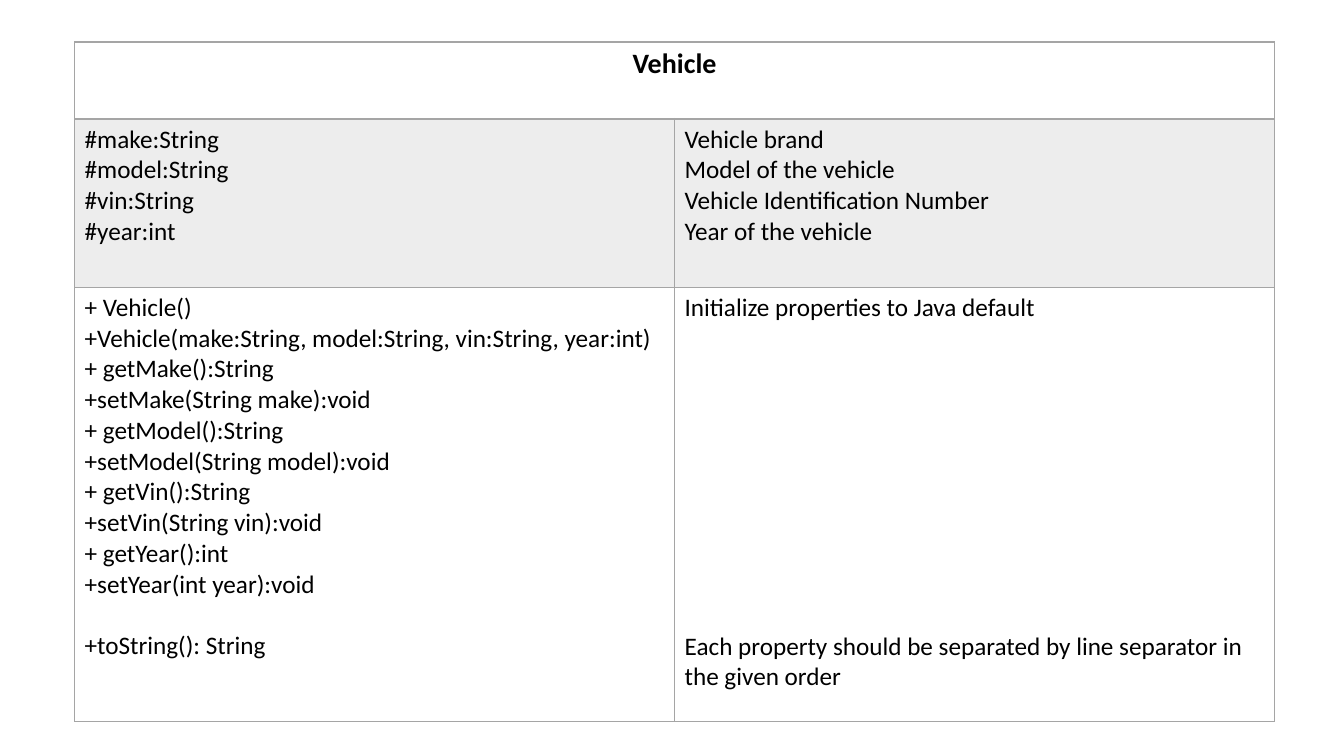
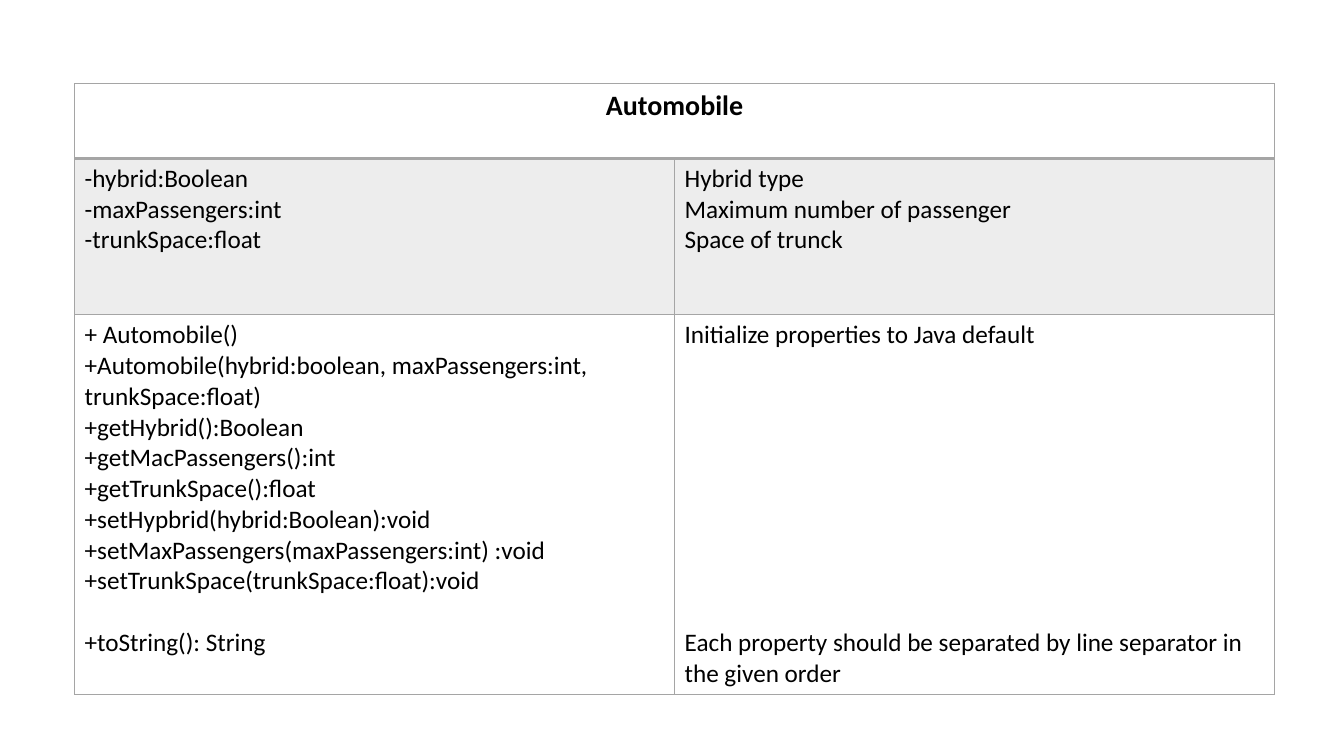
from dataclasses import dataclass
from typing import NamedTuple

from lxml import etree
from pptx import Presentation
from pptx.dml.color import RGBColor
from pptx.enum.text import PP_ALIGN
from pptx.oxml.ns import qn
from pptx.util import Cm, Pt

CENTER, LEFT = PP_ALIGN.CENTER, PP_ALIGN.LEFT
BLANK = 6


@dataclass(frozen=True)
class Theme:
    font: str = "Calibri"
    ink: str = "000000"
    grey: str = "A5A5A5"
    alpha: int = 20
    head: int = 20
    body: int = 18
    lead: float = 22  # height of one body line, in points
    thin: float = 1
    thick: float = 2
    left: float = 1.88
    col: float = 15.12


class Line(NamedTuple):
    """One line of text, with the number of empty lines above it."""
    text: str
    skip: int = 0


@dataclass(frozen=True)
class Diagram:
    name: str
    top: float
    rows: tuple[float, ...]
    fields: dict[str, str]
    calls: tuple[str, ...]
    wraps: int = 0  # extra lines taken by calls that wrap


THEME = Theme()
HEAD = {"name": THEME.font, "size": Pt(THEME.head), "bold": True}
BODY = {"name": THEME.font, "size": Pt(THEME.body), "bold": False}

DIAGRAMS = (
    Diagram(
        "Vehicle", 1.06, (1.94, 4.24, 10.94),
        {
            "#make:String": "Vehicle brand",
            "#model:String": "Model of the vehicle",
            "#vin:String": "Vehicle Identification Number",
            "#year:int": "Year of the vehicle",
        },
        (
            "+ Vehicle()",
            "+Vehicle(make:String, model:String, vin:String, year:int)",
            "+ getMake():String",
            "+setMake(String make):void",
            "+ getModel():String",
            "+setModel(String model):void",
            "+ getVin():String",
            "+setVin(String vin):void",
            "+ getYear():int",
            "+setYear(int year):void",
        ),
    ),
    Diagram(
        "Automobile", 2.11, (1.88, 3.94, 9.4),
        {
            "-hybrid:Boolean": "Hybrid type",
            "-maxPassengers:int": "Maximum number of passenger",
            "-trunkSpace:float": "Space of trunck",
        },
        (
            "+ Automobile()",
            "+Automobile(hybrid:boolean, maxPassengers:int, trunkSpace:float)",
            "+getHybrid():Boolean",
            "+getMacPassengers():int",
            "+getTrunkSpace():float",
            "+setHypbrid(hybrid:Boolean):void",
            "+setMaxPassengers(maxPassengers:int) :void",
            "+setTrunkSpace(trunkSpace:float):void",
        ),
        wraps=1,
    ),
)


def write(cell, lines: list[Line], style: dict, align=LEFT) -> None:
    frame = cell.text_frame
    for i, line in enumerate(lines):
        para = frame.add_paragraph() if i else frame.paragraphs[0]
        para.alignment = align
        para.space_before = Pt(line.skip * THEME.lead)
        run = para.add_run()
        run.text = line.text
        for key, value in style.items():
            setattr(run.font, key, value)
        run.font.color.rgb = RGBColor.from_string(THEME.ink)


def frame_cell(cell, row: int) -> None:
    """Draw the four borders, with a thick rule below the header row."""
    props = cell._tc.get_or_add_tcPr()
    widths = dict.fromkeys(("lnL", "lnR", "lnT", "lnB"), THEME.thin)
    if row < 2:
        widths["lnT" if row else "lnB"] = THEME.thick
    for side, width in widths.items():
        edge = etree.SubElement(props, qn(f"a:{side}"), w=str(Pt(width)))
        fill = etree.SubElement(edge, qn("a:solidFill"))
        etree.SubElement(fill, qn("a:srgbClr"), val=THEME.grey)


def shade(cell, tint: bool) -> None:
    if not tint:
        cell.fill.background()
        return
    cell.fill.solid()
    cell.fill.fore_color.rgb = RGBColor.from_string(THEME.grey)
    color = cell._tc.tcPr.find(f"{qn('a:solidFill')}/{qn('a:srgbClr')}")
    etree.SubElement(color, qn("a:alpha"), val=str(THEME.alpha * 1000))


def draw(slide, item: Diagram) -> None:
    table = slide.shapes.add_table(
        len(item.rows), 2, Cm(THEME.left), Cm(item.top),
        Cm(2 * THEME.col), Cm(sum(item.rows))).table
    table.first_row = table.horz_banding = False
    for col in table.columns:
        col.width = Cm(THEME.col)
    for i, height in enumerate(item.rows):
        table.rows[i].height = Cm(height)
        for cell in table.rows[i].cells:
            frame_cell(cell, i)
            shade(cell, i == 1)

    table.cell(0, 0).merge(table.cell(0, 1))
    write(table.cell(0, 0), [Line(item.name)], HEAD, CENTER)
    gap = len(item.calls) + item.wraps
    grid = (
        ([Line(text) for text in item.fields],
         [Line(text) for text in item.fields.values()]),
        ([Line(text) for text in item.calls]
         + [Line("+toString(): String", 1)],
         [Line("Initialize properties to Java default"),
          Line("Each property should be separated by line separator in "
               "the given order", gap)]),
    )
    for i, pair in enumerate(grid, 1):
        for j, lines in enumerate(pair):
            write(table.cell(i, j), lines, BODY)


def main() -> None:
    deck = Presentation()
    deck.slide_width, deck.slide_height = Cm(33.87), Cm(19.05)
    for item in DIAGRAMS:
        draw(deck.slides.add_slide(deck.slide_layouts[BLANK]), item)
    deck.save("out.pptx")


if __name__ == "__main__":
    main()
